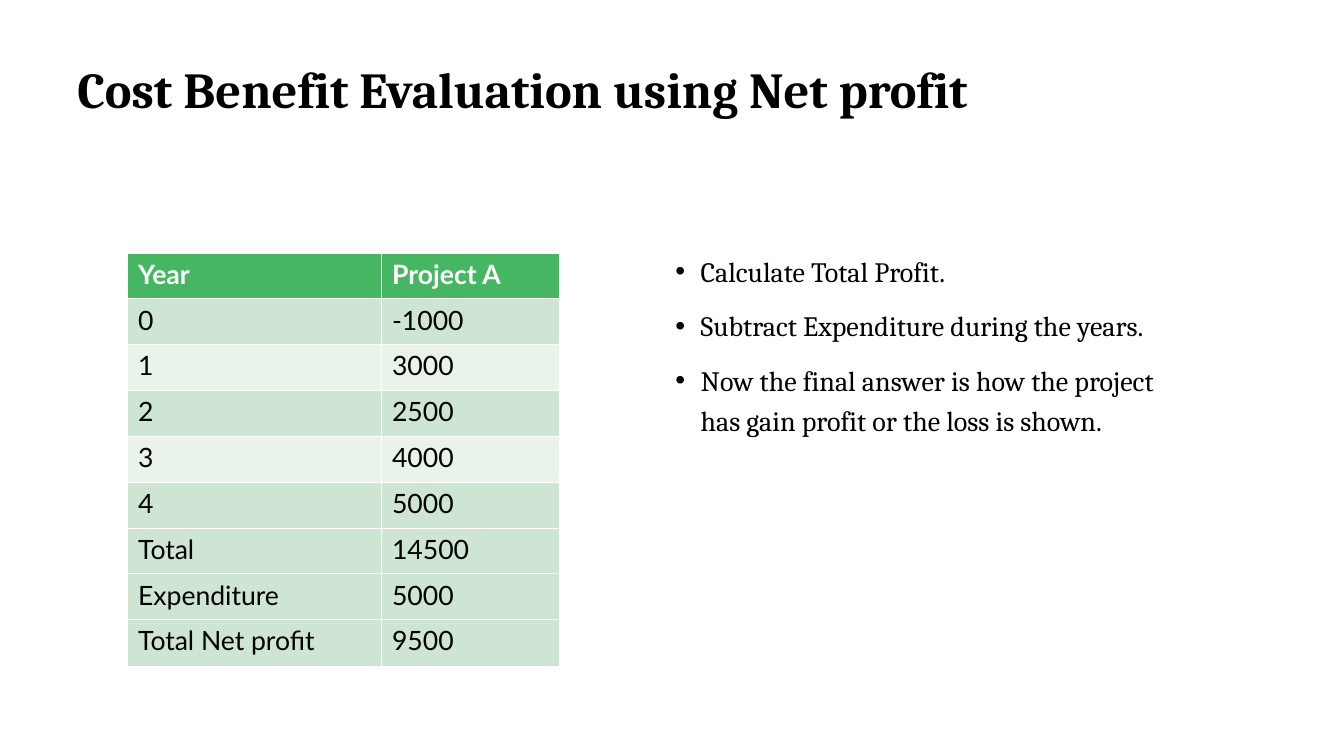
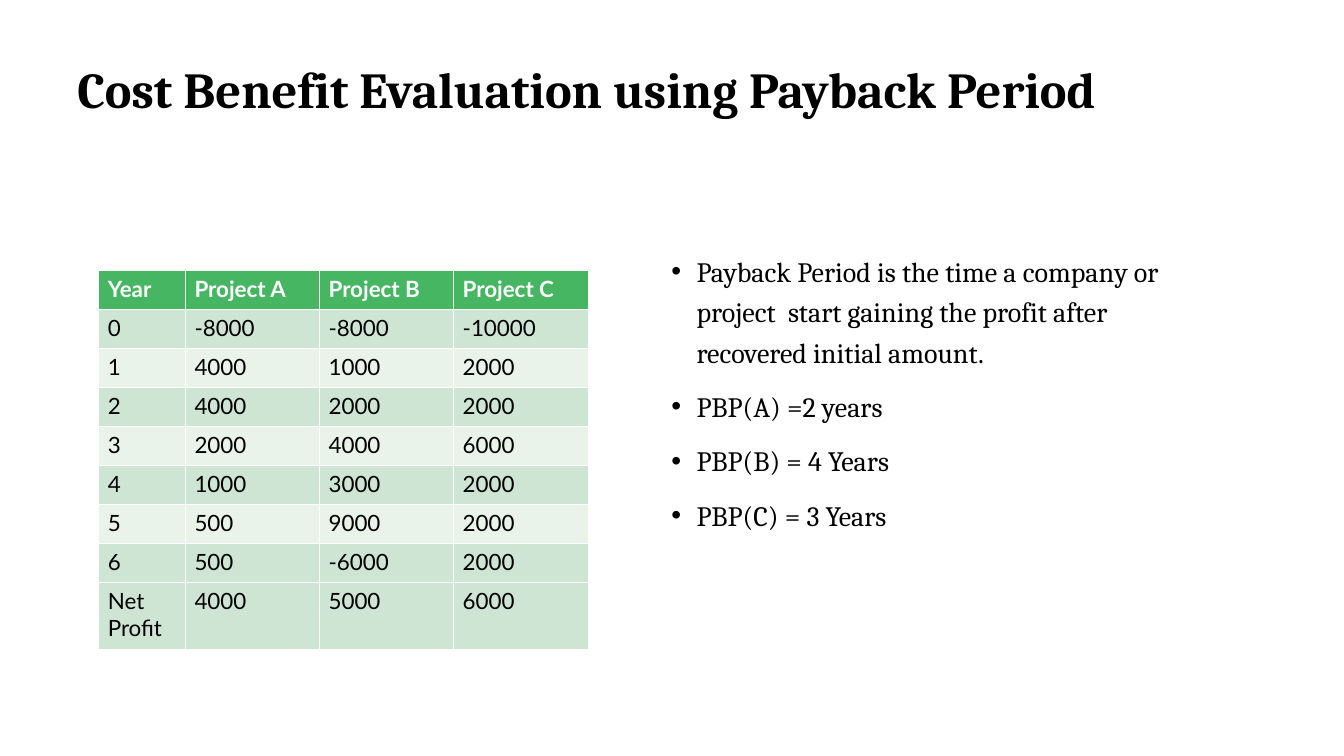
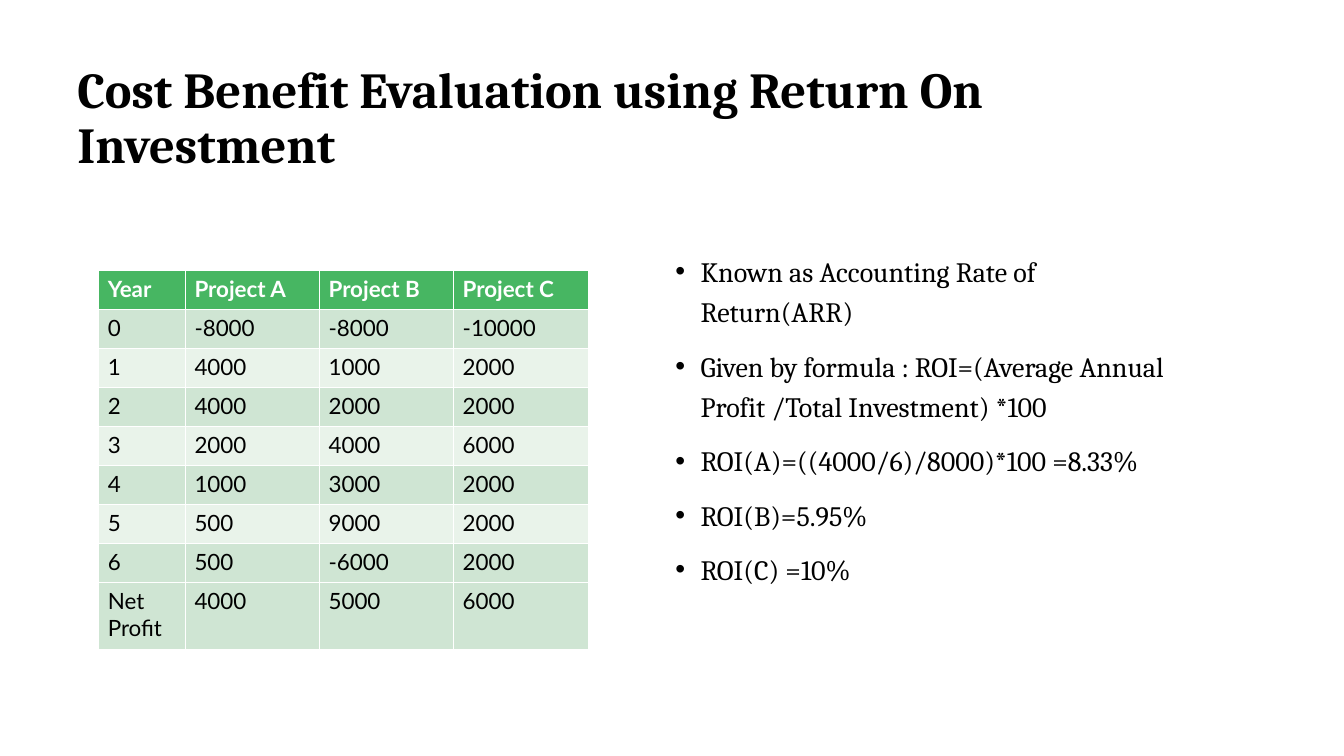
from dataclasses import dataclass

from lxml.etree import SubElement
from pptx import Presentation
from pptx.dml.color import RGBColor as RGB
from pptx.enum.text import MSO_ANCHOR as Anchor
from pptx.oxml import parse_xml
from pptx.oxml.ns import nsdecls, qn
from pptx.util import Inches, Pt


@dataclass(frozen=True)
class Theme:
    """Colours, fonts and type sizes shared by the slides."""
    ink: str = "000000"
    white: str = "FFFFFF"
    header: str = "47B662"
    band: str = "CFE5D3"
    band_light: str = "E9F3EA"
    text_font: str = "Cambria"
    table_font: str = "Lato"
    title_size: int = 36
    body_size: int = 20
    border: float = 0.75


T = Theme()

PROFIT_ROWS = [
    ("Year", "Project A"),
    ("0", "-1000"),
    ("1", "3000"),
    ("2", "2500"),
    ("3", "4000"),
    ("4", "5000"),
    ("Total", "14500"),
    ("Expenditure", "5000"),
    ("Total Net profit", "9500"),
]
PROJECT_ROWS = [
    ("Year", "Project A", "Project B", "Project C"),
    ("0", "-8000", "-8000", "-10000"),
    ("1", "4000", "1000", "2000"),
    ("2", "4000", "2000", "2000"),
    ("3", "2000", "4000", "6000"),
    ("4", "1000", "3000", "2000"),
    ("5", "500", "9000", "2000"),
    ("6", "500", "-6000", "2000"),
    ("Net Profit", "4000", "5000", "6000"),
]
PROFIT_TABLE = dict(rows=PROFIT_ROWS, left=1.26, top=2.51, widths=(2.52, 1.77),
                    height=4.1, last=0.46, size=19, margin=0.11)
PROJECT_TABLE = dict(rows=PROJECT_ROWS, left=0.98, top=2.68, widths=(0.86, 1.33, 1.33, 1.34),
                     height=3.76, last=0.66, size=16, margin=0.09)


def set_attrs(obj, values):
    """Set each named attribute on an object."""
    for name, value in values.items():
        setattr(obj, name, value)


def add_run(p, text, font, size, color, bold=False):
    """Append a formatted run to a paragraph."""
    r = p.add_run()
    r.text = text
    set_attrs(r.font, {"name": font, "size": Pt(size), "bold": bold})
    r.font.color.rgb = RGB.from_string(color)


def add_box(s, left, top, width, height):
    """Add a wrapping, top-anchored text box and return its text frame."""
    tf = s.shapes.add_textbox(*map(Inches, (left, top, width, height))).text_frame
    set_attrs(tf, {"word_wrap": True, "vertical_anchor": Anchor.TOP})
    return tf


def add_title(s, text):
    """Add the slide title."""
    p = add_box(s, 0.67, 0.6, 11.15, 1.45).paragraphs[0]
    p.line_spacing = 0.9
    add_run(p, text, T.text_font, T.title_size, T.ink, True)


def add_bullets(s, left, items):
    """Add the bulleted list at the right of the slide."""
    tf = add_box(s, left, 2.41, 5.22, 4.1)
    for i, item in enumerate(items):
        p = tf.add_paragraph() if i else tf.paragraphs[0]
        set_attrs(p, {"line_spacing": 1.2, "space_before": Pt(10)})
        pPr = p._p.get_or_add_pPr()
        pPr.set("marL", str(Inches(0.25)))
        pPr.set("indent", str(Inches(-0.25)))
        SubElement(pPr, qn("a:buFont")).set("typeface", "Arial")
        SubElement(pPr, qn("a:buChar")).set("char", "•")
        add_run(p, item, T.text_font, T.body_size, T.ink)


def set_borders(cell):
    """Draw thin white lines on all sides of a cell."""
    tcPr = cell._tc.get_or_add_tcPr()
    for i, side in enumerate("LRTB"):
        tcPr.insert(i, parse_xml(
            f'<a:ln{side} {nsdecls("a")} w="{Pt(T.border)}"><a:solidFill>'
            f'<a:srgbClr val="{T.white}"/></a:solidFill></a:ln{side}>'))


def row_fill(index, label):
    """Return the fill of a row; summary rows keep the darker band."""
    if index == 0:
        return T.header
    return T.band_light if label.isdigit() and index % 2 == 0 else T.band


def add_data_table(s, rows, left, top, widths, height, last, size, margin):
    """Add a banded table whose rows above the last share the height."""
    box = map(Inches, (left, top, sum(widths), height))
    table = s.shapes.add_table(len(rows), len(widths), *box).table
    for column, width in zip(table.columns, widths):
        column.width = Inches(width)
    for i, values in enumerate(rows):
        is_last = i == len(rows) - 1
        table.rows[i].height = Inches(last if is_last else (height - last) / (len(rows) - 1))
        for j, text in enumerate(values):
            cell = table.cell(i, j)
            set_attrs(cell, {"margin_left": Inches(margin), "margin_right": Inches(margin),
                             "margin_top": Inches(0.05), "margin_bottom": Inches(0.05)})
            cell.fill.solid()
            cell.fill.fore_color.rgb = RGB.from_string(row_fill(i, values[0]))
            set_borders(cell)
            add_run(cell.text_frame.paragraphs[0], text, T.table_font, size,
                    T.ink if i else T.white, i == 0)


def add_method_slide(prs, method, table, left, items):
    """Add a slide that explains one evaluation method."""
    s = prs.slides.add_slide(prs.slide_layouts[6])
    add_title(s, f"Cost Benefit Evaluation using {method}")
    add_bullets(s, left, items)
    add_data_table(s, **table)


def main():
    """Build and save the presentation."""
    prs = Presentation()
    set_attrs(prs, {"slide_width": Inches(13.33), "slide_height": Inches(7.5)})
    add_method_slide(prs, "Net profit", PROFIT_TABLE, 6.6, [
        "Calculate Total Profit.",
        "Subtract Expenditure during the years.",
        "Now the final answer is how the project has gain profit or the loss is shown.",
    ])
    add_method_slide(prs, "Payback Period", PROJECT_TABLE, 6.56, [
        "Payback Period is the time a company or project  start gaining the profit "
        "after recovered initial amount.",
        "PBP(A) =2 years",
        "PBP(B) = 4 Years",
        "PBP(C) = 3 Years",
    ])
    add_method_slide(prs, "Return On Investment", PROJECT_TABLE, 6.6, [
        "Known as Accounting Rate of Return(ARR)",
        "Given by formula : ROI=(Average Annual Profit /Total Investment) *100",
        "ROI(A)=((4000/6)/8000)*100 =8.33%",
        "ROI(B)=5.95%",
        "ROI(C) =10%",
    ])
    prs.save("out.pptx")


if __name__ == "__main__":
    main()
